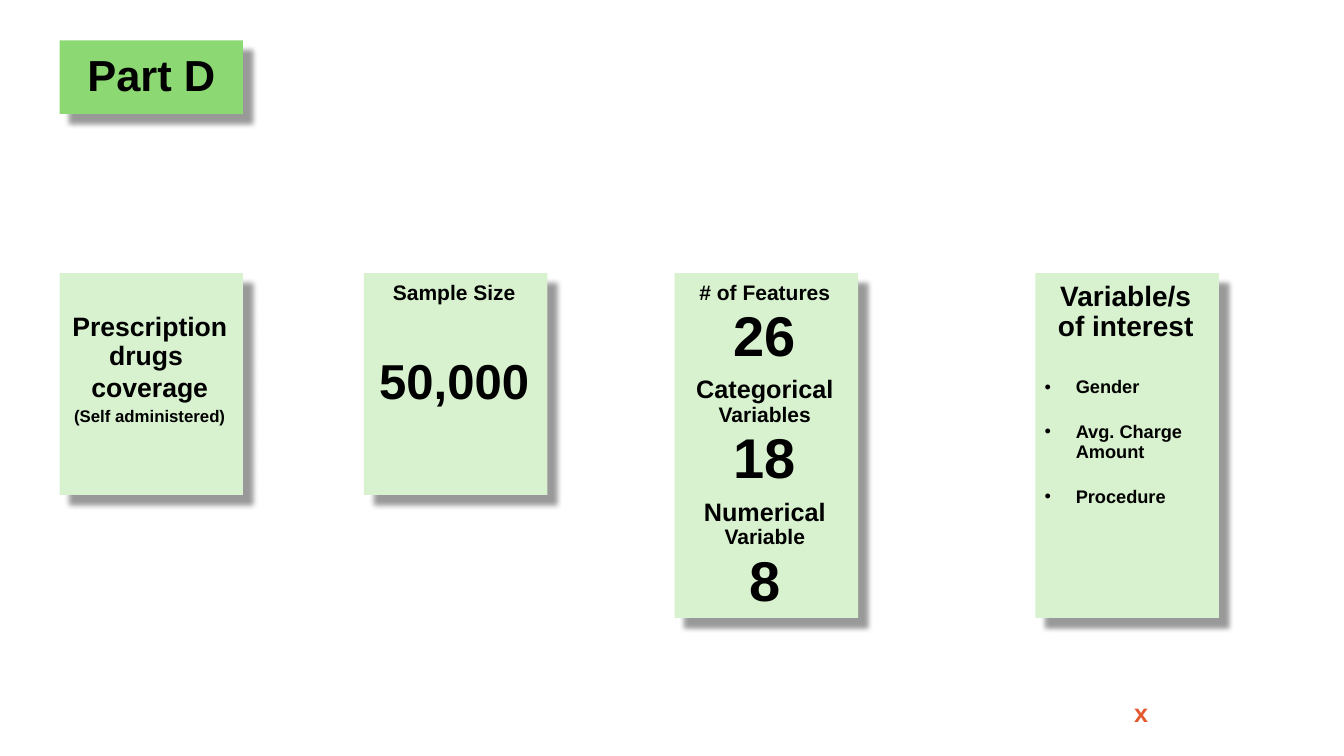
from lxml import etree
from pptx import Presentation
from pptx.dml.color import RGBColor
from pptx.enum.shapes import MSO_SHAPE
from pptx.enum.text import MSO_ANCHOR, PP_ALIGN
from pptx.oxml.ns import qn
from pptx.util import Pt

RECT = MSO_SHAPE.RECTANGLE
TOP, MIDDLE = MSO_ANCHOR.TOP, MSO_ANCHOR.MIDDLE
LEFT, CENTER = PP_ALIGN.LEFT, PP_ALIGN.CENTER

PX = 9144
FONT = "Arial"
COLORS = {"title": "8CD872", "card": "D8F2CF", "ink": "000000", "mark": "E5592E"}
WIDE, SHORT, TALL = 182, 220, 342
CARD_TOP = 271
PAD = (9, 9, 12, 13)
INDENT = 31

TITLE = [([("Part D", 31)], 0)]
MARK = [([("x", 18)], 0)]
CARDS = [
    (59, SHORT, 31, [
        ([("Prescription drugs ", 19)], 0),
        ([("coverage", 19)], 2.9),
        ([("(Self administered)", 12)], 2.9),
    ], []),
    (361, SHORT, 0, [
        ([("Sample Size", 15)], 0),
        ([("50,000", 35)], 37.6),
    ], []),
    (669, TALL, 0, [
        ([("# of Features", 15)], 0),
        ([("26", 40)], 2.2),
        ([("Categorical ", 18), ("Variables", 15)], 6),
        ([("18", 40)], 2.7),
        ([("Numerical ", 18), ("Variable", 15)], 6),
        ([("8", 40)], 2.7),
    ], []),
    (1027, TALL, 0, [
        ([("Variable/s of interest", 20)], 0),
    ], [
        ([("Gender", 13)], 25.3),
        ([("Avg. Charge Amount", 13)], 17.9),
        ([("Procedure", 13)], 17.9),
    ]),
]


def add_bullet(para):
    props = para._p.get_or_add_pPr()
    props.set("marL", str(INDENT * PX))
    props.set("indent", str(-INDENT * PX))
    etree.SubElement(props, qn("a:buFont"), typeface=FONT)
    etree.SubElement(props, qn("a:buChar"), char="•")


def add_text(frame, lines, color="ink", align=CENTER, spacing=0.9, bullet=False):
    for runs, before in lines:
        first = frame.paragraphs[0]
        para = frame.add_paragraph() if first.runs else first
        para.alignment = align
        para.line_spacing = spacing
        para.space_before = Pt(before)
        if bullet:
            add_bullet(para)
        for words, size in runs:
            run = para.add_run()
            run.text = words
            run.font.name = FONT
            run.font.size = Pt(size)
            run.font.bold = True
            run.font.color.rgb = RGBColor.from_string(COLORS[color])


def set_frame(shape, pad, anchor=TOP, wrap=True):
    frame = shape.text_frame
    frame.word_wrap = wrap
    frame.vertical_anchor = anchor
    (frame.margin_left, frame.margin_top,
     frame.margin_right, frame.margin_bottom) = [side * PX for side in pad]
    return frame


def add_shadow(shape):
    shape.shadow.inherit = False
    effects = shape._element.spPr.find(qn("a:effectLst"))
    outer = etree.SubElement(
        effects, qn("a:outerShdw"), blurRad=str(Pt(4)), dist=str(Pt(10)),
        dir=str(45 * 60000), algn="tl", rotWithShape="0")
    tint = etree.SubElement(outer, qn("a:srgbClr"), val=COLORS["ink"])
    etree.SubElement(tint, qn("a:alpha"), val="40000")


def add_box(slide, left, top, height, fill):
    box = slide.shapes.add_shape(RECT, left * PX, top * PX, WIDE * PX, height * PX)
    box.fill.solid()
    box.fill.fore_color.rgb = RGBColor.from_string(COLORS[fill])
    box.line.fill.background()
    add_shadow(box)
    return box


def main():
    deck = Presentation()
    deck.slide_width, deck.slide_height = 1333 * PX, 750 * PX
    slide = deck.slides.add_slide(deck.slide_layouts[6])

    mark = slide.shapes.add_textbox(1115 * PX, 687 * PX, 33 * PX, 40 * PX)
    add_text(set_frame(mark, (10, 5, 10, 5), wrap=False), MARK,
             color="mark", align=LEFT, spacing=1.0)

    title = add_box(slide, 59, 40, 73, "title")
    add_text(set_frame(title, (24, 14, 24, 14), anchor=MIDDLE), TITLE)

    for left, height, drop, lines, points in CARDS:
        card = add_box(slide, left, CARD_TOP, height, "card")
        frame = set_frame(card, (PAD[0], PAD[1] + drop, PAD[2], PAD[3]))
        add_text(frame, lines)
        add_text(frame, points, align=LEFT, bullet=True)

    deck.save("out.pptx")


if __name__ == "__main__":
    main()
